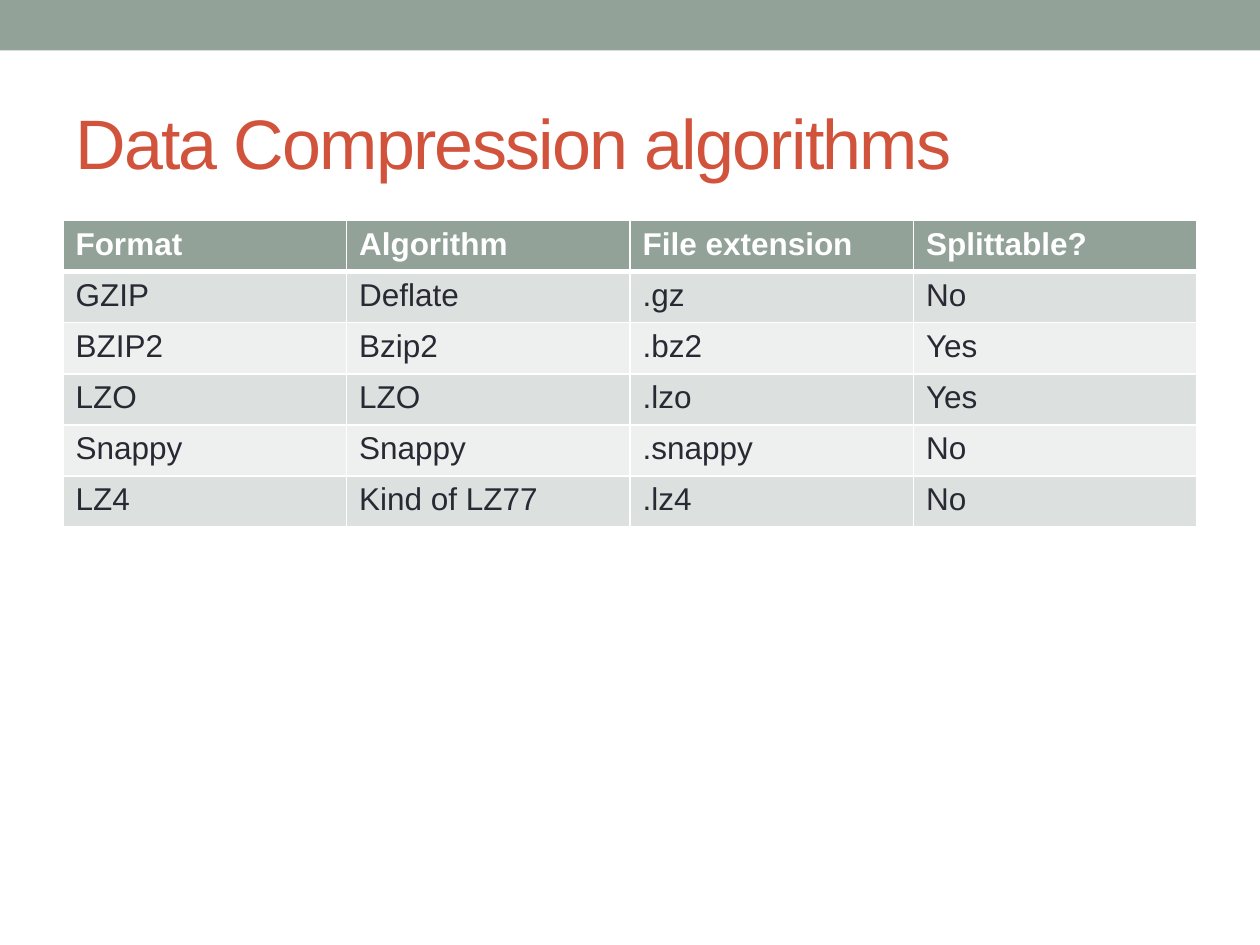
from lxml import etree
from pptx import Presentation
from pptx.dml.color import RGBColor
from pptx.enum.shapes import MSO_SHAPE
from pptx.enum.text import MSO_ANCHOR
from pptx.oxml.ns import qn
from pptx.util import Pt

RECT = MSO_SHAPE.RECTANGLE
MIDDLE = MSO_ANCHOR.MIDDLE
HEX = {"sage": "93A299", "red": "D2533C", "ink": "292934",
       "white": "FFFFFF", "dark": "DCE0DE", "light": "EEF0EF"}
ROWS = [
    ["Format", "Algorithm", "File extension", "Splittable?"],
    ["GZIP", "Deflate", ".gz", "No"],
    ["BZIP2", "Bzip2", ".bz2", "Yes"],
    ["LZO", "LZO", ".lzo", "Yes"],
    ["Snappy", "Snappy", ".snappy", "No"],
    ["LZ4", "Kind of LZ77", ".lz4", "No"],
]


def write(frame, text, color, **style):
    run = frame.paragraphs[0].add_run()
    run.text = text
    for name, value in {"name": "Arial", **style}.items():
        setattr(run.font, name, value)
    run.font.color.rgb = RGBColor.from_string(HEX[color])
    return run


def edge(cell, side, width):
    line = etree.SubElement(cell._tc.get_or_add_tcPr(), qn("a:" + side), w=str(Pt(width)))
    fill = etree.SubElement(line, qn("a:solidFill"))
    etree.SubElement(fill, qn("a:srgbClr"), val=HEX["white"])


deck = Presentation()
deck.slide_width, deck.slide_height = Pt(720), Pt(540)
slide = deck.slides.add_slide(deck.slide_layouts[6])

# Top band
band = slide.shapes.add_shape(RECT, 0, 0, Pt(720), Pt(28.8))
band.shadow.inherit = False
band.fill.solid()
band.fill.fore_color.rgb = RGBColor.from_string(HEX["sage"])
band.line.fill.background()

# Title, with letters set 1 pt tighter
title = slide.shapes.add_textbox(Pt(36), Pt(42), Pt(648), Pt(78)).text_frame
title.word_wrap = True
title.vertical_anchor = MIDDLE
run = write(title, "Data Compression algorithms", "red", size=Pt(40))
run.font._element.set("spc", "-100")

# Table of formats
grid = slide.shapes.add_table(len(ROWS), len(ROWS[0]), Pt(36), Pt(126), Pt(648), Pt(175.2)).table
for r, row in enumerate(ROWS):
    grid.rows[r].height = Pt(29.2)
    head = r == 0
    shade = "sage" if head else "dark" if r % 2 else "light"
    for c, text in enumerate(row):
        cell = grid.cell(r, c)
        edges = {"lnL": 1, "lnR": 1, "lnT": 3 if r == 1 else 1, "lnB": 3 if head else 1}
        for side, width in edges.items():
            edge(cell, side, width)
        cell.fill.solid()
        cell.fill.fore_color.rgb = RGBColor.from_string(HEX[shade])
        write(cell.text_frame, text, "white" if head else "ink", size=Pt(18), bold=head)

deck.save("out.pptx")
